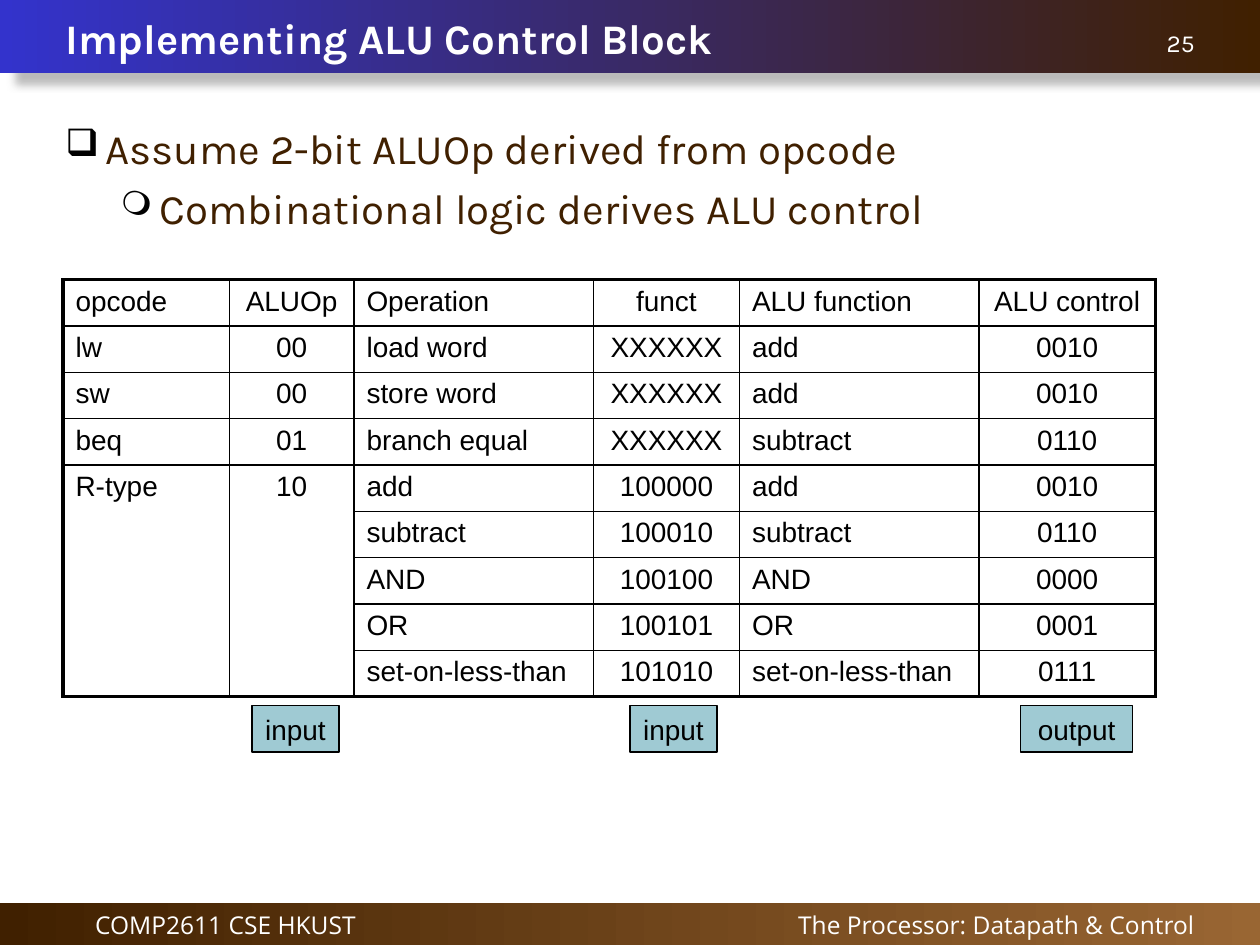
from lxml import etree
from pptx import Presentation
from pptx.dml.color import RGBColor
from pptx.enum.shapes import MSO_SHAPE
from pptx.enum.text import MSO_ANCHOR, PP_ALIGN
from pptx.oxml import parse_xml
from pptx.oxml.ns import nsdecls, qn
from pptx.util import Inches, Pt

LEFT, CENTER, RIGHT = PP_ALIGN.LEFT, PP_ALIGN.CENTER, PP_ALIGN.RIGHT
TOP, MIDDLE = MSO_ANCHOR.TOP, MSO_ANCHOR.MIDDLE
RECTANGLE = MSO_SHAPE.RECTANGLE

BLACK = RGBColor(0x00, 0x00, 0x00)
WHITE = RGBColor(0xFF, 0xFF, 0xFF)
BROWN = RGBColor(0x40, 0x20, 0x00)
TAN = RGBColor(0x99, 0x66, 0x33)
BLUE = RGBColor(0x33, 0x33, 0xCC)
TEAL = RGBColor(0x9F, 0xCA, 0xD3)

# Content
WIDTH, HEIGHT = 10, 7.5
HEADER_HEIGHT, FOOTER_TOP = 0.58, 7.17

TITLE_FONT = {"name": "Karla", "size": Pt(24), "bold": True}
BODY_FONT = {"name": "Karla", "size": Pt(24)}
NUMBER_FONT = {"name": "Karla", "size": Pt(14)}
FOOTER_FONT = {"name": "Open Sans", "size": Pt(14)}
TABLE_FONT = {"name": "Arial", "size": Pt(16)}

# text, (left, top, width, height), alignment, anchor, font
BAR_TEXTS = [
    ("COMP2611 CSE HKUST", (0.25, FOOTER_TOP, 3.08, 0.34), CENTER, TOP, FOOTER_FONT),
    ("The Processor: Datapath & Control", (4.58, FOOTER_TOP, 5, 0.34), RIGHT, TOP, FOOTER_FONT),
    ("25", (7.5, 0.17, 2.08, 0.34), RIGHT, TOP, NUMBER_FONT),
    ("Implementing ALU Control Block", (0.42, 0, 9.17, 0.59), LEFT, MIDDLE, TITLE_FONT),
]
# text, level, left margin, hanging indent, bullet, bullet size in percent
BULLETS = [
    ("Assume 2-bit ALUOp derived from opcode", 0, 0.32, 0.32, "❑", 90),
    ("Combinational logic derives ALU control", 1, 0.75, 0.31, "❍", 80),
]
ROWS = [
    ("opcode", "ALUOp", "Operation", "funct", "ALU function", "ALU control"),
    ("lw", "00", "load word", "XXXXXX", "add", "0010"),
    ("sw", "00", "store word", "XXXXXX", "add", "0010"),
    ("beq", "01", "branch equal", "XXXXXX", "subtract", "0110"),
    ("R-type", "10", "add", "100000", "add", "0010"),
    ("", "", "subtract", "100010", "subtract", "0110"),
    ("", "", "AND", "100100", "AND", "0000"),
    ("", "", "OR", "100101", "OR", "0001"),
    ("", "", "set-on-less-than", "101010", "set-on-less-than", "0111"),
]
COLUMN_WIDTHS = [1.32, 0.99, 1.9, 1.16, 1.9, 1.4]
TABLE_LEFT, TABLE_TOP, TABLE_HEIGHT = 0.5, 2.22, 3.31
MERGE_ROW, MERGED_COLUMNS = 4, (0, 1)
OUTER, HEADER_RULE, INNER = 2.25, 1.5, 1
# text, left, width
LABELS = [("input", 2, 0.69), ("input", 5, 0.69), ("output", 8.1, 0.89)]
LABEL_TOP, LABEL_HEIGHT = 5.6, 0.37


def inches(*lengths):
    return [Inches(length) for length in lengths]


def write(para, text, font, color, align=LEFT):
    para.alignment = align
    span = para.add_run()
    span.text = text
    for name, value in font.items():
        setattr(span.font, name, value)
    span.font.color.rgb = color


def add_text_box(page, place, anchor=TOP):
    frame = page.shapes.add_textbox(*inches(*place)).text_frame
    frame.word_wrap = True
    frame.vertical_anchor = anchor
    return frame


def add_bar(page, top, height, start, end):
    bar = page.shapes.add_shape(RECTANGLE, *inches(0, top, WIDTH, height))
    bar.shadow.inherit = False
    bar.line.fill.background()
    bar.fill.gradient()
    bar.fill.gradient_angle = 0
    for stop, color in zip(bar.fill.gradient_stops, (start, end)):
        stop.color.rgb = color
    return bar


def add_shadow(shape):
    effects = shape._element.spPr.find(qn("a:effectLst"))
    effects.append(parse_xml(
        f'<a:outerShdw {nsdecls("a")} blurRad="{Pt(5)}" dist="{Pt(10.4)}" dir="{35 * 60000}"'
        ' algn="ctr" rotWithShape="0"><a:srgbClr val="777777"><a:alpha val="50000"/>'
        '</a:srgbClr></a:outerShdw>'))


def set_bullet(para, left, hanging, mark, percent):
    props = para._p.get_or_add_pPr()
    props.set("marL", str(Inches(left)))
    props.set("indent", str(-Inches(hanging)))
    color = etree.SubElement(props, qn("a:buClr"))
    etree.SubElement(color, qn("a:srgbClr"), val=str(BLACK))
    etree.SubElement(props, qn("a:buSzPct"), val=str(percent * 1000))
    etree.SubElement(props, qn("a:buChar"), char=mark)


def set_borders(cell, widths):
    props = cell._tc.get_or_add_tcPr()
    for position, (side, points) in enumerate(widths.items()):
        props.insert(position, parse_xml(
            f'<a:ln{side} {nsdecls("a")} w="{Pt(points)}"><a:solidFill>'
            f'<a:srgbClr val="{BLACK}"/></a:solidFill></a:ln{side}>'))


def add_table(page):
    row_count, column_count = len(ROWS), len(COLUMN_WIDTHS)
    table = page.shapes.add_table(
        row_count, column_count,
        *inches(TABLE_LEFT, TABLE_TOP, sum(COLUMN_WIDTHS), TABLE_HEIGHT)).table
    table.first_row = table.horz_banding = False
    for column, width in zip(table.columns, COLUMN_WIDTHS):
        column.width = Inches(width)
    for column in MERGED_COLUMNS:
        table.cell(MERGE_ROW, column).merge(table.cell(row_count - 1, column))

    # Horizontal and vertical rules, from the first edge to the last
    across = [OUTER, HEADER_RULE] + [INNER] * (row_count - 2) + [OUTER]
    down = [OUTER] + [INNER] * (column_count - 1) + [OUTER]
    for row, texts in enumerate(ROWS):
        for column, text in enumerate(texts):
            cell = table.cell(row, column)
            cell.fill.background()
            if cell.is_spanned:
                continue
            bottom = row + (cell.span_height if cell.is_merge_origin else 1)
            set_borders(cell, {"L": down[column], "R": down[column + 1],
                               "T": across[row], "B": across[bottom]})
            align = CENTER if column % 2 else LEFT
            write(cell.text_frame.paragraphs[0], text, TABLE_FONT, BLACK, align)


def main():
    deck = Presentation()
    deck.slide_width, deck.slide_height = inches(WIDTH, HEIGHT)
    page = deck.slides.add_slide(deck.slide_layouts[6])

    # Header and footer bars
    add_bar(page, FOOTER_TOP, HEIGHT - FOOTER_TOP, BROWN, TAN)
    add_shadow(add_bar(page, 0, HEADER_HEIGHT, BLUE, BROWN))
    for text, place, align, anchor, font in BAR_TEXTS:
        frame = add_text_box(page, place, anchor)
        write(frame.paragraphs[0], text, font, WHITE, align)

    # Bulleted body
    body = add_text_box(page, (0.42, 0.92, 9.17, 6))
    for number, (text, level, *bullet) in enumerate(BULLETS):
        para = body.add_paragraph() if number else body.paragraphs[0]
        para.level = level
        para.line_spacing = 1.01
        para.space_before = Pt(5)
        set_bullet(para, *bullet)
        write(para, text, BODY_FONT, BROWN)

    add_table(page)

    # Labels under the table
    for text, left, width in LABELS:
        box = page.shapes.add_shape(RECTANGLE, *inches(left, LABEL_TOP, width, LABEL_HEIGHT))
        box.shadow.inherit = False
        box.fill.solid()
        box.fill.fore_color.rgb = TEAL
        box.line.color.rgb = BLACK
        box.line.width = Pt(0.75)
        box.text_frame.word_wrap = False
        write(box.text_frame.paragraphs[0], text, TABLE_FONT, BLACK, CENTER)

    deck.save("out.pptx")


if __name__ == "__main__":
    main()
